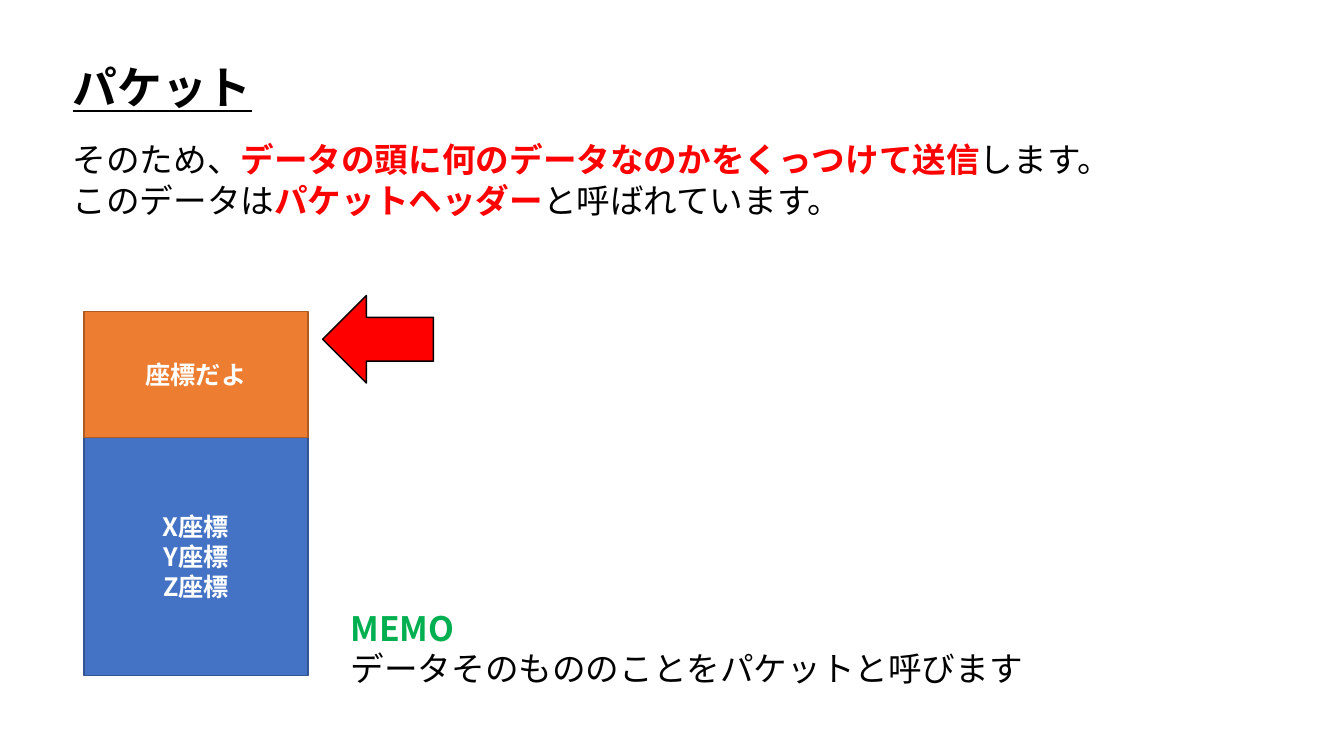
from dataclasses import dataclass

from lxml import etree
from pptx import Presentation
from pptx import util as u
from pptx.dml.color import RGBColor
from pptx.enum import shapes, text
from pptx.oxml.ns import qn

FONT = "Noto Sans CJK JP"
BLACK, WHITE, RED, GREEN = "000000", "FFFFFF", "FF0000", "00B050"


@dataclass
class Span:
    text: str
    color: str = BLACK
    bold: bool = False
    underline: bool = False


@dataclass
class Note:
    left: float
    top: float
    width: float
    height: float
    size: float
    lines: list[list[Span]]


@dataclass
class Block:
    kind: shapes.MSO_SHAPE
    left: float
    top: float
    width: float
    height: float
    fill: str
    line: str
    labels: tuple[str, ...] = ()
    rotation: float = 0


def rgb(color: str) -> RGBColor:
    return RGBColor.from_string(color)


def write_lines(tf, lines: list[list[Span]], size: float, align) -> None:
    for i, line in enumerate(lines):
        p = tf.paragraphs[0] if i == 0 else tf.add_paragraph()
        p.alignment = align
        for span in line:
            r = p.add_run()
            r.text = span.text
            r.font.size = u.Pt(size)
            r.font.bold = span.bold
            r.font.underline = span.underline
            r.font.color.rgb = rgb(span.color)
            r.font.name = FONT
            # Japanese glyphs take the East Asian typeface
            etree.SubElement(r.font._element, qn("a:ea"), typeface=FONT)


def draw_note(s, note: Note) -> None:
    sp = s.shapes.add_textbox(u.Pt(note.left), u.Pt(note.top),
                              u.Pt(note.width), u.Pt(note.height))
    tf = sp.text_frame
    tf.word_wrap = False
    tf.auto_size = text.MSO_AUTO_SIZE.SHAPE_TO_FIT_TEXT
    write_lines(tf, note.lines, note.size, text.PP_ALIGN.LEFT)


def draw_block(s, block: Block) -> None:
    sp = s.shapes.add_shape(block.kind, u.Pt(block.left), u.Pt(block.top),
                            u.Pt(block.width), u.Pt(block.height))
    sp.rotation = block.rotation
    sp.shadow.inherit = False
    sp.fill.solid()
    sp.fill.fore_color.rgb = rgb(block.fill)
    sp.line.color.rgb = rgb(block.line)
    sp.line.width = u.Pt(1)
    tf = sp.text_frame
    tf.vertical_anchor = text.MSO_ANCHOR.MIDDLE
    lines = [[Span(label, WHITE, bold=True)] for label in block.labels]
    write_lines(tf, lines, 18, text.PP_ALIGN.CENTER)


# Title, explanation and memo
MARGIN = 44.8
NOTES = [
    Note(MARGIN, 39, 144, 46, 32, [[Span("パケット", bold=True, underline=True)]]),
    Note(MARGIN, 95.8, 766, 65.5, 24, [
        [Span("そのため、"),
         Span("データの頭に何のデータなのかをくっつけて送信", RED, bold=True),
         Span("します。")],
        [Span("このデータは"),
         Span("パケットヘッダー", RED, bold=True),
         Span("と呼ばれています。")],
    ]),
    Note(243.4, 430.6, 499, 65.5, 24, [
        [Span("MEMO", GREEN, bold=True)],
        [Span("データそのもののことをパケットと呼びます")],
    ]),
]

# Packet: header stacked on its data, with an arrow at the header
PACKET_LEFT, PACKET_TOP, PACKET_WIDTH = 60, 222.5, 160
HEADER_HEIGHT, DATA_HEIGHT = 90, 170
BLOCKS = [
    Block(shapes.MSO_SHAPE.RECTANGLE, PACKET_LEFT, PACKET_TOP + HEADER_HEIGHT,
          PACKET_WIDTH, DATA_HEIGHT, "4472C4", "325491",
          ("X座標", "Y座標", "Z座標")),
    Block(shapes.MSO_SHAPE.RECTANGLE, PACKET_LEFT, PACKET_TOP,
          PACKET_WIDTH, HEADER_HEIGHT, "ED7D31", "AF5C24", ("座標だよ",)),
    Block(shapes.MSO_SHAPE.RIGHT_ARROW, 230.4, 211, 79.2, 62.6,
          RED, BLACK, rotation=180),
]


def main() -> None:
    prs = Presentation()
    prs.slide_width, prs.slide_height = u.Pt(960), u.Pt(540)
    s = prs.slides.add_slide(prs.slide_layouts[6])
    title, explanation, memo = NOTES
    for note in (title, explanation):
        draw_note(s, note)
    for block in BLOCKS:
        draw_block(s, block)
    draw_note(s, memo)
    prs.save("out.pptx")


if __name__ == "__main__":
    main()
